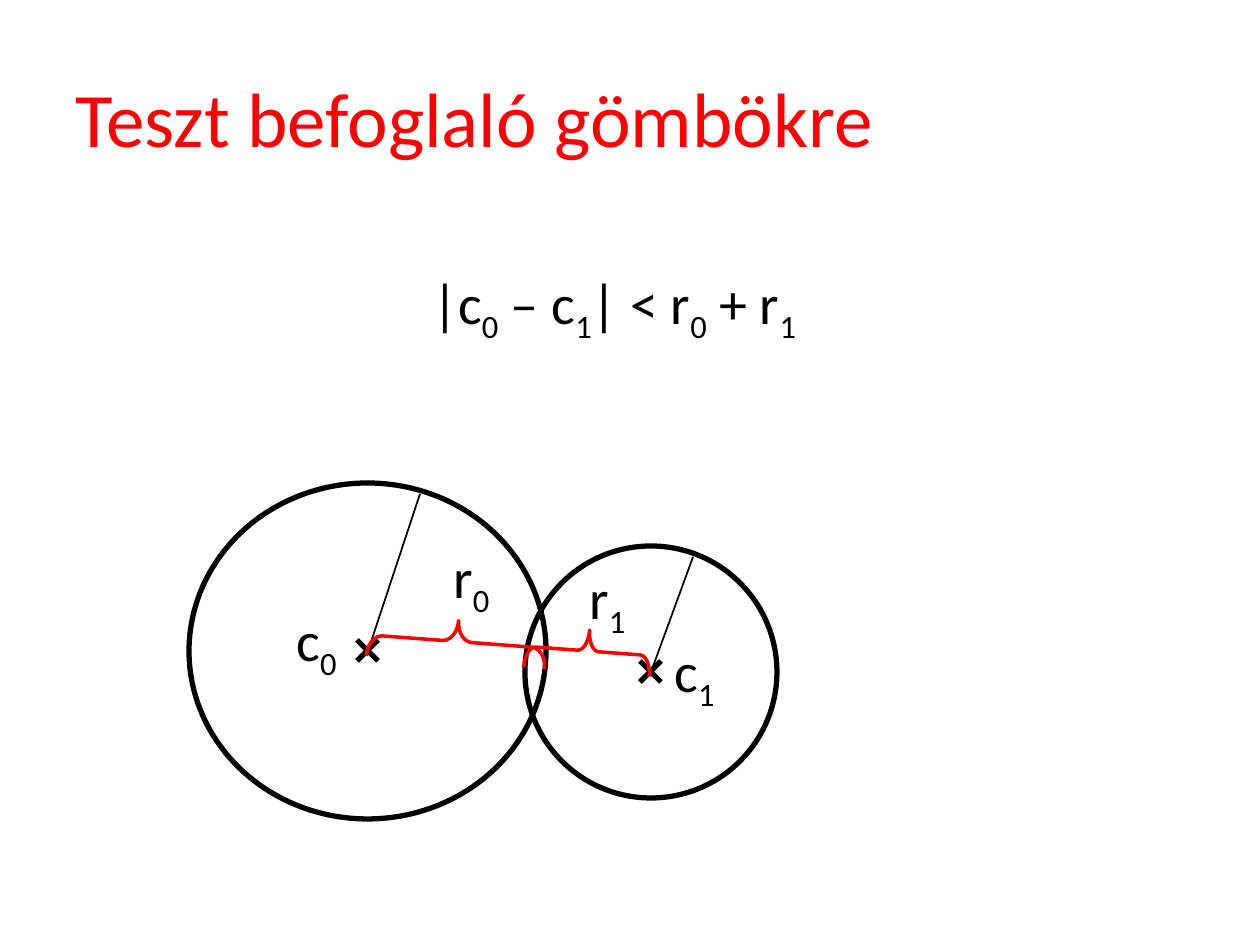
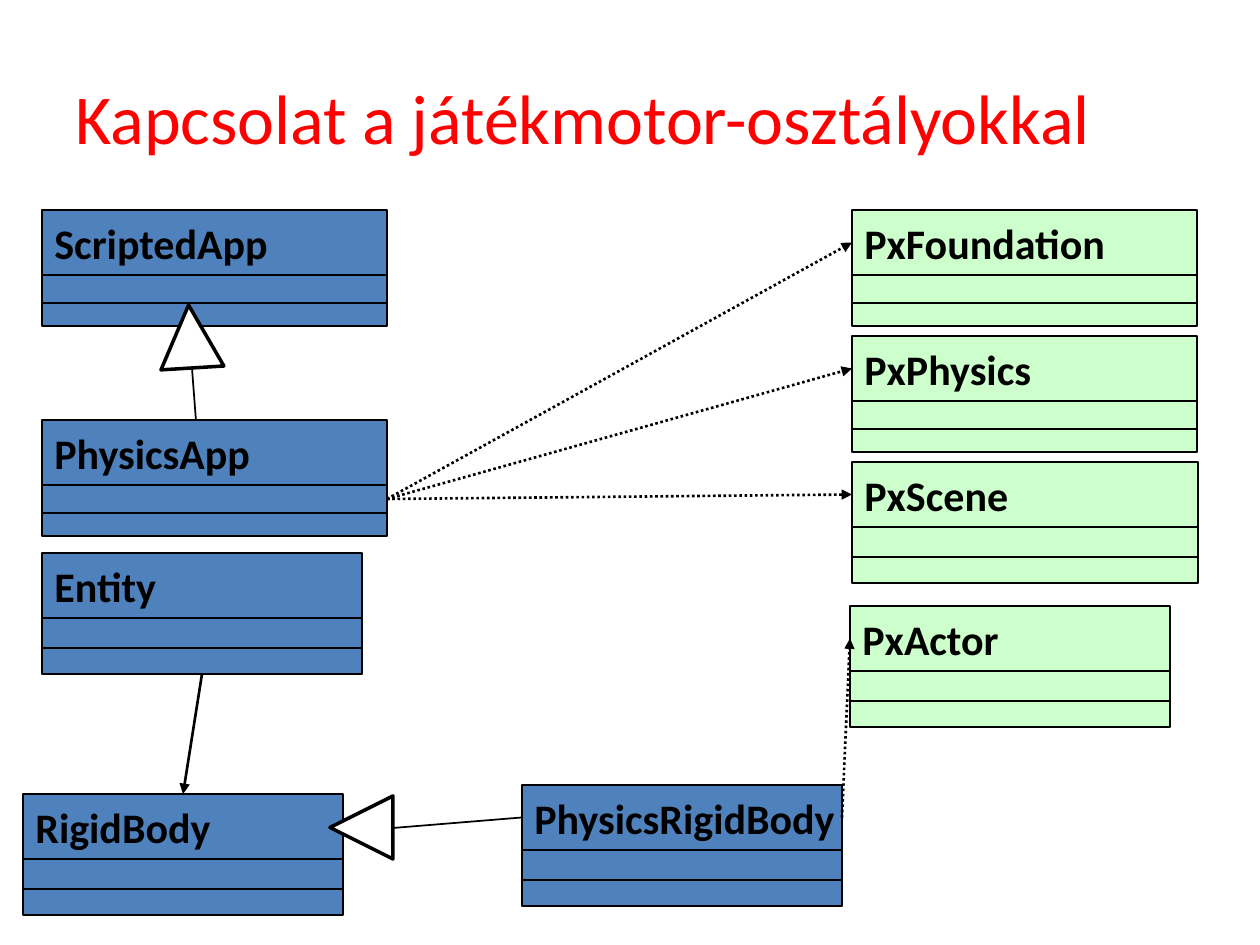
from dataclasses import dataclass

from lxml import etree
from pptx import Presentation
from pptx import util as u
from pptx.dml.color import RGBColor
from pptx.enum import dml, shapes, text
from pptx.oxml import ns


@dataclass(frozen=True)
class Theme:
    font: str = "Calibri"
    ink: str = "000000"
    accent: str = "FF0000"
    paper: str = "FFFFFF"
    engine: str = "4F81BD"
    physics: str = "CCFFCC"
    formula: int = 32
    label: int = 24
    thin: float = 1
    arrow: float = 1.5
    medium: float = 2
    thick: float = 3


T = Theme()
SLIDE = (1260, 945)
TITLE_BOX = (63, 38, 1134, 157)
TITLES = {"spheres": ("Teszt befoglaló gömbökre", 44),
          "classes": ("Kapcsolat a játékmotor-osztályokkal", 40)}

FORMULAS = [
    (("|c", "0", " – c", "1", "| < r", "0", " + r", "1"), (420, 262, 420, 79)),
    (("c", "0"), (284, 599, 74, 79)),
    (("c", "1"), (662, 630, 74, 79)),
    (("r", "0"), (441, 536, 64, 79)),
    (("r", "1"), (577, 557, 64, 79)),
]
SPHERES = [(189, 483, 357, 336), (525, 546, 252, 252)]
CROSS = 21
CROSSES = [(357, 640), (640, 661)]
RADII = [((368, 651), (420, 494)), ((651, 672), (693, 557))]
BRACE_TURN = 94.3
BRACES = [((436, 552, 42, 179), 0.35), ((567, 588, 42, 126), 0.25)]

COMPACT = (345, (65, 28, 23))
TALL = (320, (65, 30, 26))
SCENE = (346, (65, 30, 26))
CLASSES = [
    ("ScriptedApp", (42, 210), COMPACT, T.engine),
    ("PhysicsApp", (42, 420), COMPACT, T.engine),
    ("Entity", (42, 553), TALL, T.engine),
    ("RigidBody", (23, 794), TALL, T.engine),
    ("PhysicsRigidBody", (522, 785), TALL, T.engine),
    ("PxFoundation", (852, 210), COMPACT, T.physics),
    ("PxPhysics", (852, 336), COMPACT, T.physics),
    ("PxScene", (852, 462), SCENE, T.physics),
    ("PxActor", (850, 606), TALL, T.physics),
]
NAME, FIELDS, METHODS = range(3)
TOP, LEFT, BOTTOM, RIGHT = range(4)
USES = [
    (("PhysicsApp", FIELDS, RIGHT), ("PxFoundation", NAME, LEFT), True),
    (("PhysicsApp", FIELDS, RIGHT), ("PxPhysics", NAME, LEFT), True),
    (("PhysicsApp", FIELDS, RIGHT), ("PxScene", NAME, LEFT), True),
    (("PhysicsRigidBody", NAME, RIGHT), ("PxActor", NAME, LEFT), True),
    (("Entity", METHODS, BOTTOM), ("RigidBody", NAME, TOP), False),
]
INHERITANCE = [
    ((330, 796, 63, 63), 270, (523, 818), (393, 828), ("PhysicsRigidBody", NAME, LEFT)),
    ((159, 305, 63, 63), 356.5, (196, 421), (192, 368), None),
]


def px(n):
    return u.Emu(round(n * 914400 / 126))


def rgb(color):
    return RGBColor.from_string(color)


def write(sp, parts, size, color=T.ink, bold=False, wrap=False, grow=False,
          anchor=text.MSO_ANCHOR.MIDDLE):
    tf = sp.text_frame
    tf.word_wrap = wrap
    tf.vertical_anchor = anchor
    if grow:
        tf.auto_size = text.MSO_AUTO_SIZE.SHAPE_TO_FIT_TEXT
    p = tf.paragraphs[0]
    p.alignment = text.PP_ALIGN.LEFT
    for i, part in enumerate(parts):
        r = p.add_run()
        r.text = part
        r.font.name, r.font.size, r.font.bold = T.font, u.Pt(size), bold
        r.font.color.rgb = rgb(color)
        if i % 2:
            r._r.get_or_add_rPr().set("baseline", "-25000")


def text_box(s, parts, box, size, **fmt):
    write(s.shapes.add_textbox(*map(px, box)), parts, size, **fmt)


def shape(parent, kind, box, width, fill=None, line=T.ink, turn=0):
    sp = parent.shapes.add_shape(kind, *map(px, box))
    sp.shadow.inherit = False
    if fill:
        sp.fill.solid()
        sp.fill.fore_color.rgb = rgb(fill)
    else:
        sp.fill.background()
    sp.line.color.rgb = rgb(line)
    sp.line.width = u.Pt(width)
    sp.rotation = turn
    return sp


def connect(s, start=(0, 0), end=(0, 0), width=T.thin, dotted=False, arrow=False):
    cx = s.shapes.add_connector(shapes.MSO_CONNECTOR.STRAIGHT,
                                *map(px, (*start, *end)))
    cx.line.color.rgb = rgb(T.ink)
    cx.line.width = u.Pt(width)
    if dotted:
        cx.line.dash_style = dml.MSO_LINE.ROUND_DOT
    props = cx._element.spPr
    if arrow:
        tail = etree.SubElement(props.find(ns.qn("a:ln")), ns.qn("a:tailEnd"))
        tail.set("type", "triangle")
    etree.SubElement(props, ns.qn("a:effectLst"))
    return cx


def class_box(s, name, origin, layout, fill):
    group = s.shapes.add_group_shape()
    left, top = origin
    width, heights = layout
    rows = []
    for height in heights:
        rows.append(shape(group, shapes.MSO_SHAPE.RECTANGLE,
                          (left, top, width, height), T.thin, fill))
        top += height
    write(rows[NAME], [name], T.label, bold=True)
    return rows


def new_slide(prs, key):
    s = prs.slides.add_slide(prs.slide_layouts[6])
    s.background.fill.solid()
    s.background.fill.fore_color.rgb = rgb(T.paper)
    title, size = TITLES[key]
    text_box(s, [title], TITLE_BOX, size, color=T.accent, wrap=True)
    return s


def sphere_slide(prs):
    s = new_slide(prs, "spheres")
    for box in SPHERES:
        shape(s, shapes.MSO_SHAPE.OVAL, box, T.thick)
    for x, y in CROSSES:
        connect(s, (x, y), (x + CROSS, y + CROSS), T.thick)
        connect(s, (x, y + CROSS), (x + CROSS, y), T.thick)
    for parts, box in FORMULAS:
        text_box(s, parts, box, T.formula, grow=True, anchor=text.MSO_ANCHOR.TOP)
    for center, edge in RADII:
        connect(s, center, edge)
    for box, curl in BRACES:
        sp = shape(s, shapes.MSO_SHAPE.LEFT_BRACE, box, T.medium,
                   line=T.accent, turn=BRACE_TURN)
        sp.adjustments[0] = curl


def class_slide(prs):
    s = new_slide(prs, "classes")
    boxes = {spec_[0]: class_box(s, *spec_) for spec_ in CLASSES}
    for (user, row, side), (used, used_row, used_side), dotted in USES:
        cx = connect(s, width=T.arrow, dotted=dotted, arrow=True)
        cx.begin_connect(boxes[user][row], side)
        cx.end_connect(boxes[used][used_row], used_side)
    for box, turn, start, end, child in INHERITANCE:
        shape(s, shapes.MSO_SHAPE.ISOSCELES_TRIANGLE, box, T.medium, T.paper, turn=turn)
        cx = connect(s, start, end)
        if child:
            name, row, side = child
            cx.begin_connect(boxes[name][row], side)


def main():
    prs = Presentation()
    prs.slide_width, prs.slide_height = map(px, SLIDE)
    sphere_slide(prs)
    class_slide(prs)
    prs.save("out.pptx")


if __name__ == "__main__":
    main()
